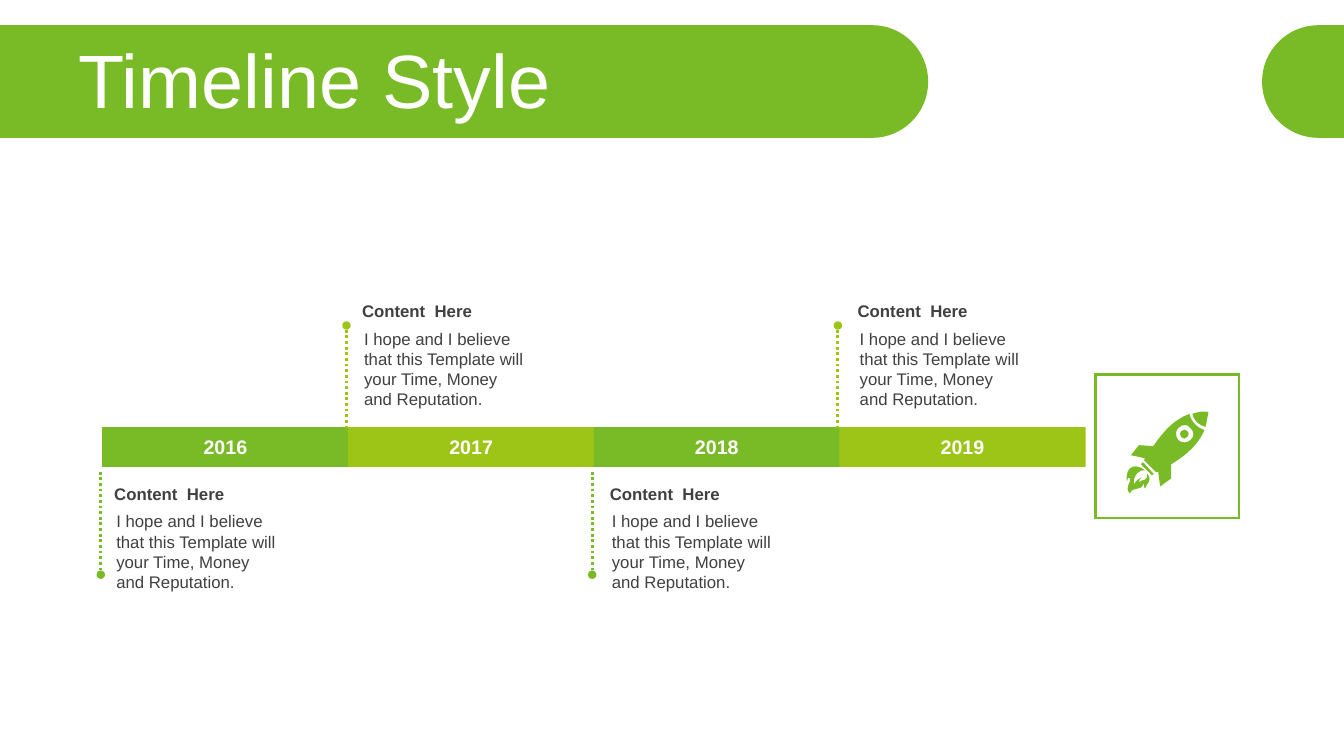
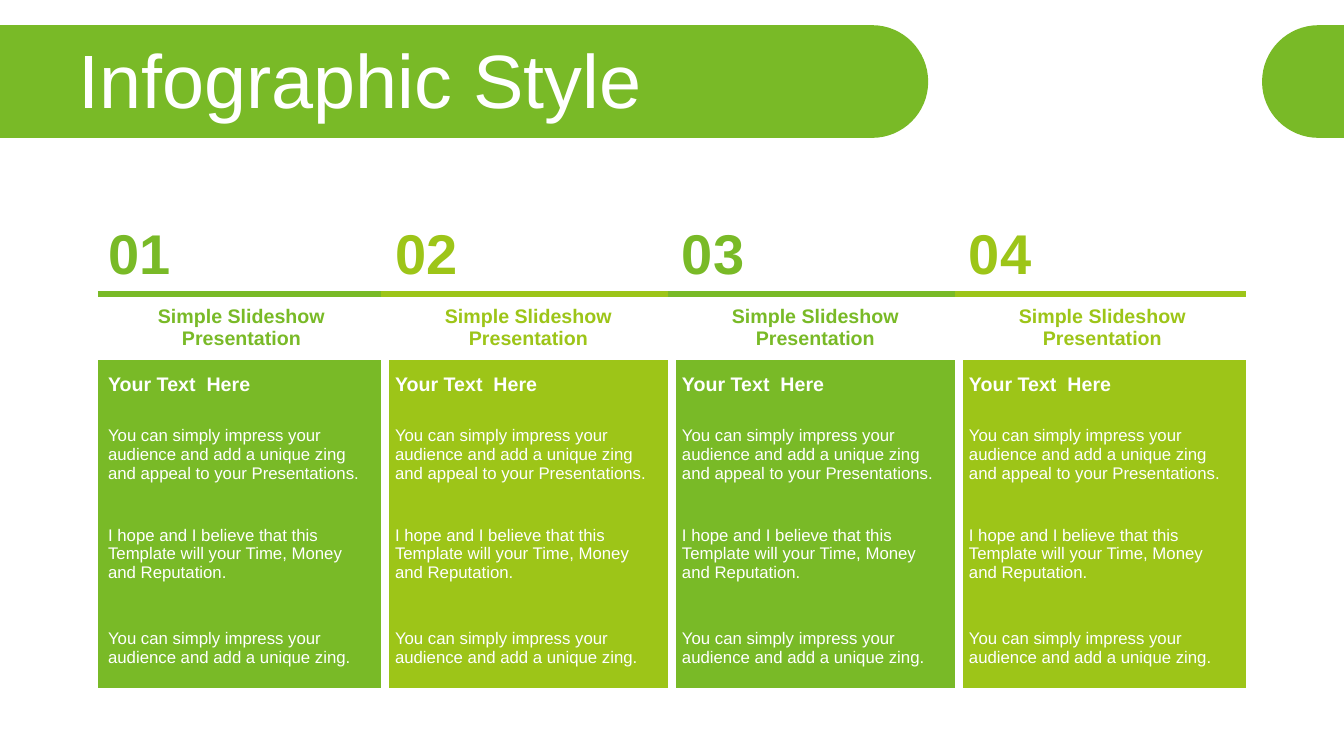
from dataclasses import dataclass
from typing import Optional

from lxml.etree import SubElement
from pptx import Presentation
from pptx.dml.color import RGBColor
from pptx.enum.dml import MSO_LINE
from pptx.enum.shapes import MSO_CONNECTOR, MSO_SHAPE
from pptx.enum.text import MSO_ANCHOR, PP_ALIGN
from pptx.oxml.ns import qn
from pptx.shapes.autoshape import Shape
from pptx.slide import Slide
from pptx.table import _Cell
from pptx.text.text import TextFrame
from pptx.util import Emu, Pt

EMU_PER_PX = 6350
SLIDE_WIDTH, SLIDE_HEIGHT = 1920, 1080
FONT = "Arial"
GREEN, LIME, WHITE, GREY = "79BA27", "9DC518", "FFFFFF", "404040"
ACCENTS = (GREEN, LIME, GREEN, LIME)
NO_TABLE_STYLE = "{2D5ABB26-0587-4C30-8999-92F81FD0307C}"

# A contour is a start point followed by lines (x, y) and curves
# (control, control, end as six numbers).
Contour = list[tuple[int, ...]]

BANNER: list[Contour] = [
    [(0, 36), (1246, 36), (1290, 36, 1326, 72, 1326, 117),
     (1326, 161, 1290, 197, 1246, 197), (0, 197)],
    [(1920, 36), (1920, 197), (1884, 197), (1839, 197, 1803, 161, 1803, 117),
     (1803, 72, 1839, 36, 1884, 36)],
]

ROCKET_FLAME: Contour = [
    (20, 59), (15, 58, 8, 63, 9, 73), (12, 68, 14, 67, 17, 66),
    (16, 67, 13, 68, 14, 71), (17, 67, 23, 71, 22, 62),
    (28, 70, 22, 71, 20, 77), (18, 76, 20, 70, 19, 72),
    (15, 81, 8, 74, 5, 82), (-1, 75, 7, 71, 5, 67),
    (5, 66, 3, 65, 2, 70), (0, 52, 13, 53, 20, 59),
]
ROCKET_NOZZLE: Contour = [(18, 51), (29, 63), (28, 63, 27, 63, 27, 64), (16, 53)]
ROCKET_PORTHOLE: Contour = [
    (62, 20), (64, 22, 64, 24, 62, 26), (60, 28, 58, 28, 56, 26),
    (54, 24, 54, 21, 56, 20), (58, 18, 61, 18, 62, 20),
]
ROCKET_RING: Contour = [
    (65, 17), (62, 13, 57, 13, 53, 17), (50, 20, 50, 25, 53, 29),
    (56, 32, 62, 32, 65, 29), (69, 26, 69, 20, 65, 17),
]
ROCKET_BODY: Contour = [
    (64, 3), (66, 11, 72, 17, 79, 19), (72, 35, 59, 45, 46, 53), (46, 67),
    (35, 75), (33, 60), (31, 61), (19, 49), (19, 48, 20, 48, 20, 47),
    (6, 44), (14, 34), (28, 35), (29, 34), (37, 22, 48, 9, 64, 3),
]
ROCKET_NOSE: Contour = [
    (83, 1), (82, 6, 81, 12, 80, 16), (73, 14, 68, 9, 67, 3),
    (72, 1, 77, 0, 83, 1),
]
ROCKET = [ROCKET_BODY, ROCKET_RING, ROCKET_PORTHOLE, ROCKET_NOSE,
          ROCKET_NOZZLE, ROCKET_FLAME]


@dataclass(frozen=True)
class Box:
    left: int
    top: int
    width: int
    height: int

    def emu(self) -> tuple[Emu, Emu, Emu, Emu]:
        return px(self.left), px(self.top), px(self.width), px(self.height)


@dataclass(frozen=True)
class TextStyle:
    size: int
    color: str
    bold: bool = False
    align: Optional[PP_ALIGN] = None
    line_spacing: Optional[float] = None


@dataclass(frozen=True)
class Milestone:
    year: str
    above: bool


@dataclass(frozen=True)
class TableRow:
    height: int
    texts: tuple[str, ...]
    size: int
    bold: bool
    filled: bool = True
    align: Optional[PP_ALIGN] = None


MILESTONES = (
    Milestone("2016", above=False),
    Milestone("2017", above=True),
    Milestone("2018", above=False),
    Milestone("2019", above=True),
)
HOPE_TEXT = ("I hope and I believe that this Template will your Time, "
             "Money and Reputation.")
IMPRESS_TEXT = "You can simply impress your audience and add a unique zing"
TABLE_ROWS = (
    TableRow(112, ("01", "02", "03", "04"), 40, True, filled=False),
    TableRow(95, ("Simple Slideshow Presentation",) * 4, 14, True,
             filled=False, align=PP_ALIGN.CENTER),
    TableRow(69, ("Your Text  Here",) * 4, 14, True),
    TableRow(131, (IMPRESS_TEXT + " and appeal to your Presentations.",) * 4, 12, False),
    TableRow(153, (HOPE_TEXT,) * 4, 12, False),
    TableRow(115, (IMPRESS_TEXT + ".",) * 4, 12, False),
)


def px(length: float) -> Emu:
    return Emu(round(length * EMU_PER_PX))


def rgb(color: str) -> RGBColor:
    return RGBColor.from_string(color)


def write_text(text_frame: TextFrame, text: str, style: TextStyle) -> None:
    text_frame.text = text
    paragraph = text_frame.paragraphs[0]
    paragraph.alignment = style.align
    paragraph.line_spacing = style.line_spacing
    font = paragraph.runs[0].font
    font.name = FONT
    font.size = Pt(style.size)
    font.bold = style.bold
    font.color.rgb = rgb(style.color)


def add_text(slide: Slide, box: Box, text: str, style: TextStyle,
             anchor: MSO_ANCHOR = MSO_ANCHOR.TOP) -> None:
    text_frame = slide.shapes.add_textbox(*box.emu()).text_frame
    text_frame.word_wrap = True
    text_frame.vertical_anchor = anchor
    write_text(text_frame, text, style)


def fill_plain(shape: Shape, color: str) -> None:
    """Give the shape a flat fill without line or shadow."""
    shape.shadow.inherit = False
    shape.fill.solid()
    shape.fill.fore_color.rgb = rgb(color)
    shape.line.fill.background()


def add_outline(slide: Slide, contours: list[Contour], color: str,
                left: int = 0, top: int = 0, scale: float = 1.0) -> None:
    """Draw the contours as one shape; inner contours become holes."""
    outlines = [[[px(left + x * scale if axis == 0 else top + x * scale)
                  for axis, x in ((i % 2, x) for i, x in enumerate(segment))]
                 for segment in contour] for contour in contours]
    builder = slide.shapes.build_freeform(*outlines[0][0])
    for index, segments in enumerate(outlines):
        if index:
            builder.move_to(*segments[0])
        builder.add_line_segments([segment[-2:] for segment in segments[1:]], close=True)
    shape = builder.convert_to_shape()
    fill_plain(shape, color)

    path = next(shape._element.iter(qn("a:path")))
    nodes = [node for node in path if node.tag != qn("a:close")]
    for node, segment in zip(nodes, sum(outlines, [])):
        if len(segment) == 6:
            curve = SubElement(path, qn("a:cubicBezTo"))
            for x, y in zip(segment[::2], segment[1::2]):
                SubElement(curve, qn("a:pt"), x=str(x - shape.left), y=str(y - shape.top))
            path.replace(node, curve)


def add_titled_slide(presentation: Presentation, title: str) -> Slide:
    slide = presentation.slides.add_slide(presentation.slide_layouts[6])
    for contour in BANNER:
        add_outline(slide, [contour], GREEN)
    add_text(slide, Box(98, 63, 1776, 114), title,
             TextStyle(54, WHITE, line_spacing=0.9), MSO_ANCHOR.MIDDLE)
    return slide


def add_dotted_pin(slide: Slide, x: int, start: int, end: int, color: str) -> None:
    connector = slide.shapes.add_connector(
        MSO_CONNECTOR.STRAIGHT, px(x), px(start), px(x), px(end))
    connector.line.color.rgb = rgb(color)
    connector.line.width = Pt(2)
    connector.line.dash_style = MSO_LINE.ROUND_DOT
    properties = connector._element.spPr
    SubElement(properties.find(qn("a:ln")), qn("a:tailEnd"), type="oval")
    SubElement(properties, qn("a:effectLst"))


def add_milestone(slide: Slide, index: int, milestone: Milestone) -> None:
    color = ACCENTS[index]
    bar = Box(146 + 351 * index, 610, 352, 57)
    shape = slide.shapes.add_shape(MSO_SHAPE.RECTANGLE, *bar.emu())
    fill_plain(shape, color)
    shape.text_frame.vertical_anchor = MSO_ANCHOR.MIDDLE
    write_text(shape.text_frame, milestone.year,
               TextStyle(14, WHITE, True, PP_ALIGN.CENTER))

    start, end, top = (612, 465, 423) if milestone.above else (674, 821, 684)
    add_dotted_pin(slide, bar.left - 2, start, end, color)
    left = 149 + 354 * index
    add_text(slide, Box(left + 3, top + 39, 259, 131), HOPE_TEXT, TextStyle(12, GREY))
    add_text(slide, Box(left, top, 264, 43), "Content  Here", TextStyle(12, GREY, True))


def add_timeline_slide(presentation: Presentation) -> None:
    slide = add_titled_slide(presentation, "Timeline Style")
    for index, milestone in enumerate(MILESTONES):
        add_milestone(slide, index, milestone)
    frame = slide.shapes.add_shape(MSO_SHAPE.RECTANGLE, *Box(1565, 535, 205, 205).emu())
    frame.shadow.inherit = False
    frame.fill.background()
    frame.line.color.rgb = rgb(GREEN)
    frame.line.width = Pt(2)
    SubElement(frame._element.spPr.find(qn("a:ln")), qn("a:miter"), lim="800000")
    add_outline(slide, ROCKET, GREEN, left=1607, top=587, scale=1.44)


def add_border(cell: _Cell, side: str, color: Optional[str], width: float) -> None:
    """Set one cell border; no colour means no line."""
    properties = cell._tc.get_or_add_tcPr()
    line = SubElement(properties, qn(f"a:ln{side}"), w=str(Pt(width)))
    if color is None:
        SubElement(line, qn("a:noFill"))
    else:
        SubElement(SubElement(line, qn("a:solidFill")), qn("a:srgbClr"), val=color)


def format_cell(cell: _Cell, row_index: int, column_index: int) -> None:
    row, accent = TABLE_ROWS[row_index], ACCENTS[column_index]
    add_border(cell, "L", WHITE if column_index > 0 else None, 6)
    add_border(cell, "R", WHITE if column_index < len(ACCENTS) - 1 else None, 6)
    add_border(cell, "T", accent if row_index == 1 else None, 4.5)
    add_border(cell, "B", accent if row_index == 0 else None, 4.5)
    cell.fill.solid()
    cell.fill.fore_color.rgb = rgb(accent if row.filled else WHITE)
    cell.vertical_anchor = MSO_ANCHOR.MIDDLE
    write_text(cell.text_frame, row.texts[column_index],
               TextStyle(row.size, WHITE if row.filled else accent, row.bold, row.align))


def add_infographic_slide(presentation: Presentation) -> None:
    slide = add_titled_slide(presentation, "Infographic Style")
    box = Box(140, 308, 410 * len(ACCENTS), sum(row.height for row in TABLE_ROWS))
    frame = slide.shapes.add_table(len(TABLE_ROWS), len(ACCENTS), *box.emu())
    table = frame.table
    table.first_row = table.horz_banding = False
    for style_id in frame._element.iter(qn("a:tableStyleId")):
        style_id.text = NO_TABLE_STYLE
    for row_index, row in enumerate(TABLE_ROWS):
        table.rows[row_index].height = px(row.height)
        for column_index in range(len(ACCENTS)):
            format_cell(table.cell(row_index, column_index), row_index, column_index)


def main() -> None:
    presentation = Presentation()
    presentation.slide_width = px(SLIDE_WIDTH)
    presentation.slide_height = px(SLIDE_HEIGHT)
    add_timeline_slide(presentation)
    add_infographic_slide(presentation)
    presentation.save("out.pptx")


if __name__ == "__main__":
    main()
